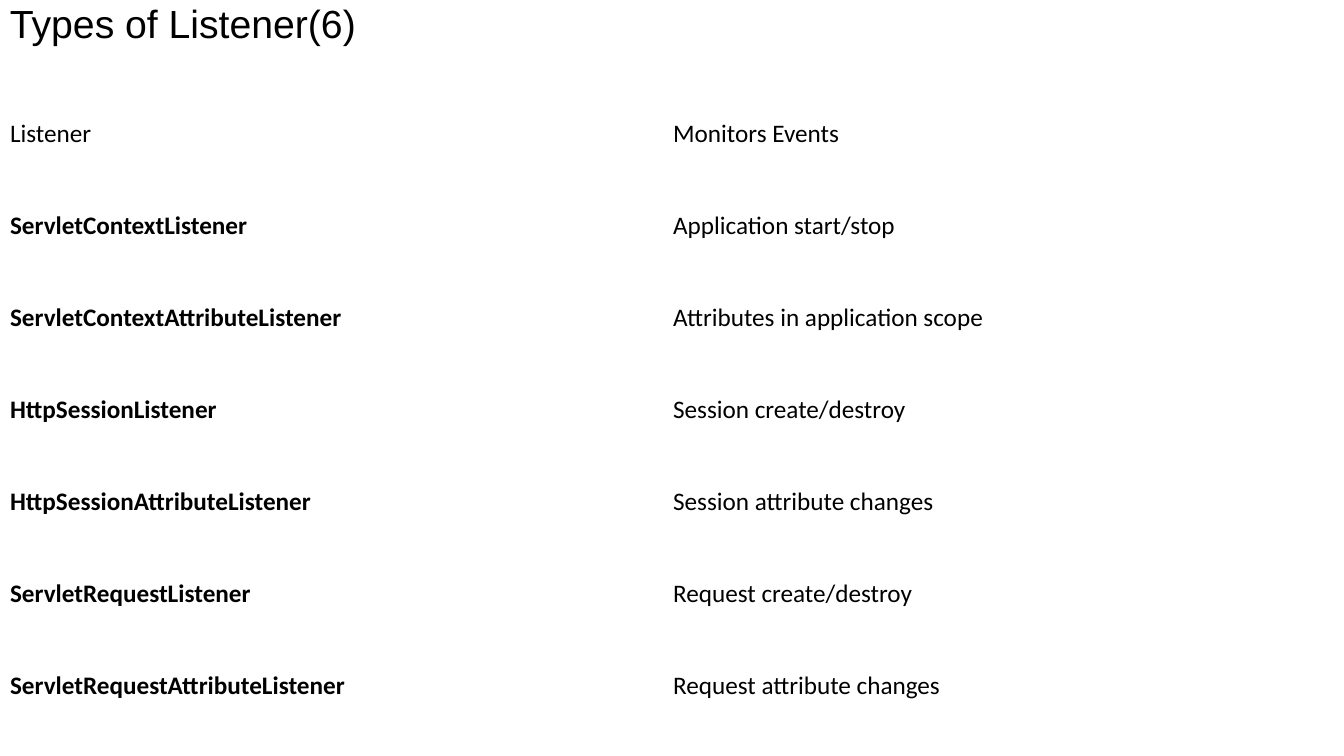
from dataclasses import dataclass

from pptx import Presentation
from pptx.dml.color import RGBColor
from pptx.enum.text import MSO_ANCHOR
from pptx.slide import Slide
from pptx.text.text import _Run
from pptx.util import Cm, Pt

BLACK = RGBColor(0x00, 0x00, 0x00)
SLIDE_WIDTH, SLIDE_HEIGHT = Cm(33.87), Cm(19.05)
TABLE_TOP = Cm(2.21)
COLUMN_WIDTH = Cm(16.71)
ROW_HEIGHT = Cm(2.32)


@dataclass(frozen=True)
class ListenerRow:
    listener: str
    events: str
    bold: bool = True


ROWS = [
    ListenerRow("Listener", "Monitors Events", bold=False),
    ListenerRow("ServletContextListener", "Application start/stop"),
    ListenerRow("ServletContextAttributeListener", "Attributes in application scope"),
    ListenerRow("HttpSessionListener", "Session create/destroy"),
    ListenerRow("HttpSessionAttributeListener", "Session attribute changes"),
    ListenerRow("ServletRequestListener", "Request create/destroy"),
    ListenerRow("ServletRequestAttributeListener", "Request attribute changes"),
]


def format_run(r: _Run, font: str, size: int, bold: bool = False) -> None:
    r.font.name = font
    r.font.size = Pt(size)
    r.font.bold = bold
    r.font.color.rgb = BLACK


def add_title(s: Slide, text: str) -> None:
    sp = s.shapes.add_textbox(0, 0, SLIDE_WIDTH, TABLE_TOP)
    tf = sp.text_frame
    tf.word_wrap = True
    tf.text = text
    p = tf.paragraphs[0]
    p.line_spacing = 0.9
    format_run(p.runs[0], "Arial", 28)


def add_listener_table(s: Slide, rows: list[ListenerRow]) -> None:
    table = s.shapes.add_table(
        len(rows), 2, 0, TABLE_TOP, 2 * COLUMN_WIDTH, len(rows) * ROW_HEIGHT
    ).table
    table.first_row = False
    table.horz_banding = False
    for i, row in enumerate(rows):
        cells = ((row.listener, row.bold), (row.events, False))
        for j, (text, bold) in enumerate(cells):
            cell = table.cell(i, j)
            cell.fill.background()
            cell.vertical_anchor = MSO_ANCHOR.MIDDLE
            cell.text_frame.text = text
            format_run(cell.text_frame.paragraphs[0].runs[0], "Calibri", 18, bold)


def main() -> None:
    prs = Presentation()
    prs.slide_width, prs.slide_height = SLIDE_WIDTH, SLIDE_HEIGHT
    s = prs.slides.add_slide(prs.slide_layouts[6])
    add_title(s, "Types of Listener(6)")
    add_listener_table(s, ROWS)
    prs.save("out.pptx")


if __name__ == "__main__":
    main()
